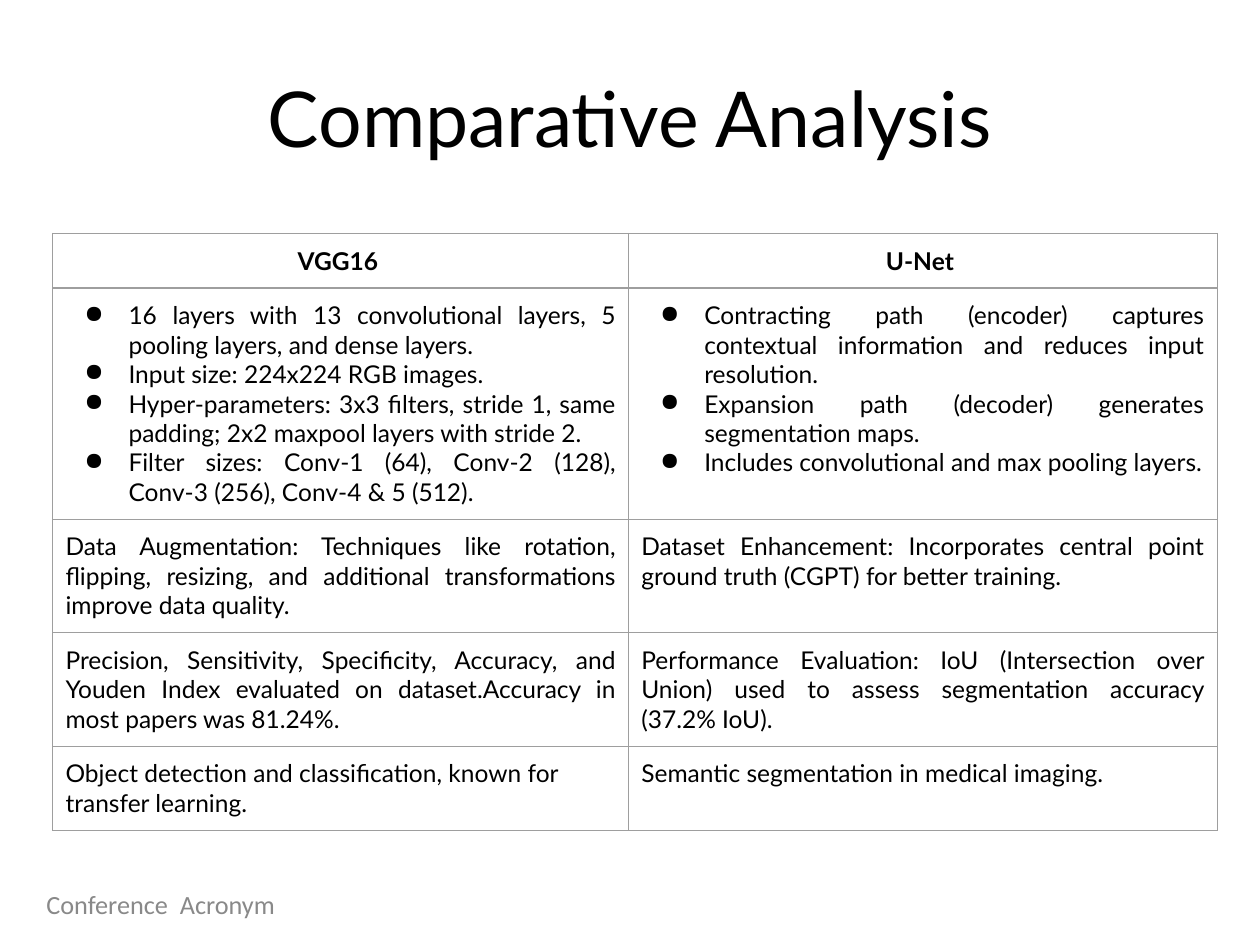
from dataclasses import dataclass

from lxml.etree import SubElement
from pptx import Presentation
from pptx.dml.color import RGBColor
from pptx.enum.text import MSO_ANCHOR as Anchor, PP_ALIGN as Align
from pptx.oxml import parse_xml
from pptx.oxml.ns import nsdecls, qn
from pptx.util import Inches, Pt

SLIDE_WIDTH, SLIDE_HEIGHT = Inches(10), Inches(7.5)


@dataclass(frozen=True)
class Theme:
    body_font: str = "Lato"
    footer_font: str = "Calibri"
    ink: str = "000000"
    muted: str = "898989"
    rule: str = "9E9E9E"
    title_size: float = 44
    table_size: float = 14
    footer_size: float = 15
    rule_width: float = 0.75


@dataclass(frozen=True)
class Area:
    """A rectangle in shares of the slide's width and height."""
    left: float
    top: float
    width: float
    height: float

    def lengths(self) -> tuple[int, int, int, int]:
        return (int(self.left * SLIDE_WIDTH), int(self.top * SLIDE_HEIGHT),
                int(self.width * SLIDE_WIDTH), int(self.height * SLIDE_HEIGHT))


@dataclass(frozen=True)
class TableRow:
    height: float
    vgg: tuple[str, ...]
    unet: tuple[str, ...]
    align: Align = Align.JUSTIFY
    bold: bool = False
    bulleted: bool = False


THEME = Theme()
TITLE_AREA = Area(0.05, 0.04, 0.9, 1 / 6)
FOOTER_AREA = Area(0.027, 0.94, 0.72, 0.04)
TABLE_AREA = Area(0.042, 0.247, 0.924, 0.55)
COLUMN_WIDTHS = (4.57, 4.67)
CELL_MARGIN = Inches(0.1)

COMPARISON = (
    TableRow(0.36, ("VGG16 ",), ("U-Net ",), Align.CENTER, bold=True),
    TableRow(1.73, (
        "16 layers with 13 convolutional layers, 5 pooling layers, and dense layers.",
        "Input size: 224x224 RGB images.",
        "Hyper-parameters: 3x3 filters, stride 1, same padding; "
        "2x2 maxpool layers with stride 2.",
        "Filter sizes: Conv-1 (64), Conv-2 (128), Conv-3 (256), Conv-4 & 5 (512).",
    ), (
        "Contracting path (encoder) captures contextual information "
        "and reduces input resolution.",
        "Expansion path (decoder) generates segmentation maps.",
        "Includes convolutional and max pooling layers.",
    ), bulleted=True),
    TableRow(0.75, (
        "Data Augmentation: Techniques like rotation, flipping, resizing, "
        "and additional transformations improve data quality.",
    ), (
        "Dataset Enhancement: Incorporates central point ground truth (CGPT) "
        "for better training.",
    )),
    TableRow(0.75, (
        "Precision, Sensitivity, Specificity, Accuracy, and Youden Index "
        "evaluated on dataset.Accuracy in most papers was 81.24%.",
    ), (
        "Performance Evaluation: IoU (Intersection over Union) used to assess "
        "segmentation accuracy (37.2% IoU).",
    )),
    TableRow(0.56, ("Object detection and classification, known for transfer learning.",),
             ("Semantic segmentation in medical imaging.",), Align.LEFT),
)


def style_font(paragraph, name: str, size: float, color: str, bold: bool = False) -> None:
    font = paragraph.font
    font.name, font.size, font.bold = name, Pt(size), bold
    font.color.rgb = RGBColor.from_string(color)


def add_text(slide, area: Area, text: str, anchor: Anchor):
    """Add a wrapping one-paragraph text box and return its paragraph."""
    frame = slide.shapes.add_textbox(*area.lengths()).text_frame
    frame.word_wrap = True
    frame.vertical_anchor = anchor
    frame.text = text
    return frame.paragraphs[0]


def add_bullet(paragraph) -> None:
    properties = paragraph._p.get_or_add_pPr()
    properties.set("marL", str(Inches(0.5)))
    properties.set("indent", str(Inches(-0.35)))
    color = SubElement(properties, qn("a:buClr"))
    SubElement(color, qn("a:srgbClr"), val=THEME.ink)
    SubElement(properties, qn("a:buChar"), char="●")


def add_borders(cell) -> None:
    properties = cell._tc.get_or_add_tcPr()
    for position, side in enumerate(("lnL", "lnR", "lnT", "lnB")):
        properties.insert(position, parse_xml(
            f'<a:{side} {nsdecls("a")} w="{Pt(THEME.rule_width)}"><a:solidFill>'
            f'<a:srgbClr val="{THEME.rule}"/></a:solidFill></a:{side}>'))


def fill_cell(cell, lines: tuple[str, ...], row: TableRow) -> None:
    cell.margin_left = cell.margin_right = CELL_MARGIN
    cell.margin_top = cell.margin_bottom = CELL_MARGIN
    cell.fill.background()
    add_borders(cell)
    cell.text_frame.text = "\n".join(lines)
    for paragraph in cell.text_frame.paragraphs:
        paragraph.alignment = row.align
        if row.bulleted:
            add_bullet(paragraph)
        style_font(paragraph, THEME.body_font, THEME.table_size, THEME.ink, row.bold)


def add_comparison(slide) -> None:
    table = slide.shapes.add_table(
        len(COMPARISON), len(COLUMN_WIDTHS), *TABLE_AREA.lengths()).table
    table.first_row = table.horz_banding = False
    for column, width in zip(table.columns, COLUMN_WIDTHS):
        column.width = Inches(width)
    for table_row, row in zip(table.rows, COMPARISON):
        table_row.height = Inches(row.height)
        for cell, lines in zip(table_row.cells, (row.vgg, row.unet)):
            fill_cell(cell, lines, row)


def main() -> None:
    deck = Presentation()
    deck.slide_width, deck.slide_height = SLIDE_WIDTH, SLIDE_HEIGHT
    slide = deck.slides.add_slide(deck.slide_layouts[6])

    title = add_text(slide, TITLE_AREA, "Comparative Analysis", Anchor.MIDDLE)
    title.alignment = Align.CENTER
    style_font(title, THEME.body_font, THEME.title_size, THEME.ink)

    footer = add_text(slide, FOOTER_AREA, "Conference  Acronym", Anchor.TOP)
    footer.line_spacing = 0.8
    style_font(footer, THEME.footer_font, THEME.footer_size, THEME.muted)

    add_comparison(slide)
    deck.save("out.pptx")


if __name__ == "__main__":
    main()
